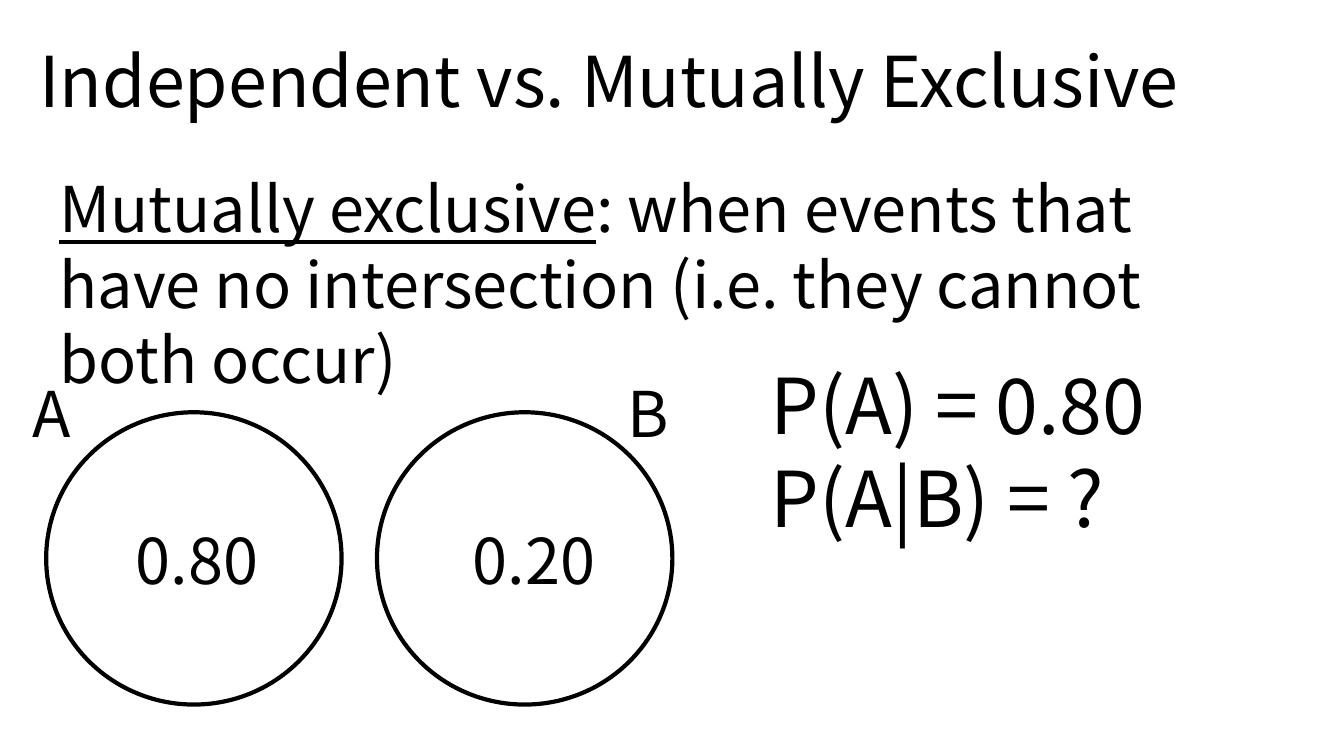
from pptx import Presentation
from pptx.dml.color import RGBColor
from pptx.enum.shapes import MSO_SHAPE as Shape
from pptx.enum.text import MSO_ANCHOR as Anchor, MSO_AUTO_SIZE as Fit, PP_ALIGN as Align
from pptx.oxml.ns import qn
from pptx.util import Pt

FONT = "Noto Sans CJK SC"
BLACK = RGBColor(0, 0, 0)

# Each paragraph is a list of (text, underlined) runs.
TITLE = [[("Independent vs. Mutually Exclusive", False)]]
BODY = [[("Mutually exclusive", True),
         (": when events that have no intersection (i.e. they cannot both occur)", False)]]
SUMS = [[("P(A) = 0.80", False)], [("P(A|B) = ?", False)]]

# Circle left; name and its left; chance and its left
EVENTS = [
    (33, "A", 16, "0.80", 90),
    (269.3, "B", 441.5, "0.20", 330.5),
]
RING_TOP, RING_W, RING_H = 294.5, 211, 208.8
NAME_TOP, NAME_W = 264.2, 39
ODDS_TOP, ODDS_W = 368.6, 111
LABEL_H = 62

deck = Presentation()
deck.slide_width, deck.slide_height = Pt(960), Pt(540)
slide = deck.slides.add_slide(deck.slide_layouts[1])


def place(shape, box):
    shape.left, shape.top, shape.width, shape.height = map(Pt, box)


def write(paras, box, size=45, holder=None):
    shape = holder or slide.shapes.add_textbox(0, 0, 0, 0)
    place(shape, box)
    frame = shape.text_frame
    frame.word_wrap = True
    frame.auto_size = Fit.NONE
    frame.vertical_anchor = Anchor.TOP
    for i, runs in enumerate(paras):
        para = frame.add_paragraph() if i else frame.paragraphs[0]
        para.alignment = Align.LEFT
        para.space_before = Pt(0)
        if holder:
            props = para._p.get_or_add_pPr()
            props.set("marL", "0")
            props.set("indent", "0")
            props.append(props.makeelement(qn("a:buNone"), {}))
        for text, under in runs:
            run = para.add_run()
            run.text = text
            font = run.font
            font.name, font.size = FONT, Pt(size)
            font.color.rgb = BLACK
            if under:
                font.underline = True


def label(text, left, top, width):
    write([[(text, False)]], (left, top, width, LABEL_H))


def ring(left):
    shape = slide.shapes.add_shape(Shape.OVAL, 0, 0, 0, 0)
    place(shape, (left, RING_TOP, RING_W, RING_H))
    shape.shadow.inherit = False
    shape.fill.background()
    shape.line.color.rgb = BLACK
    shape.line.width = Pt(3)


write(TITLE, (21, 23, 868, 67.7), size=50, holder=slide.shapes.title)
write(BODY, (35.3, 117.4, 872, 116.6), holder=slide.placeholders[1])
for left, name, name_x, odds, odds_x in EVENTS:
    ring(left)
    label(name, name_x, NAME_TOP, NAME_W)
    label(odds, odds_x, ODDS_TOP, ODDS_W)
write(SUMS, (543.6, 252, 416, 140.4), size=55)

deck.save("out.pptx")
